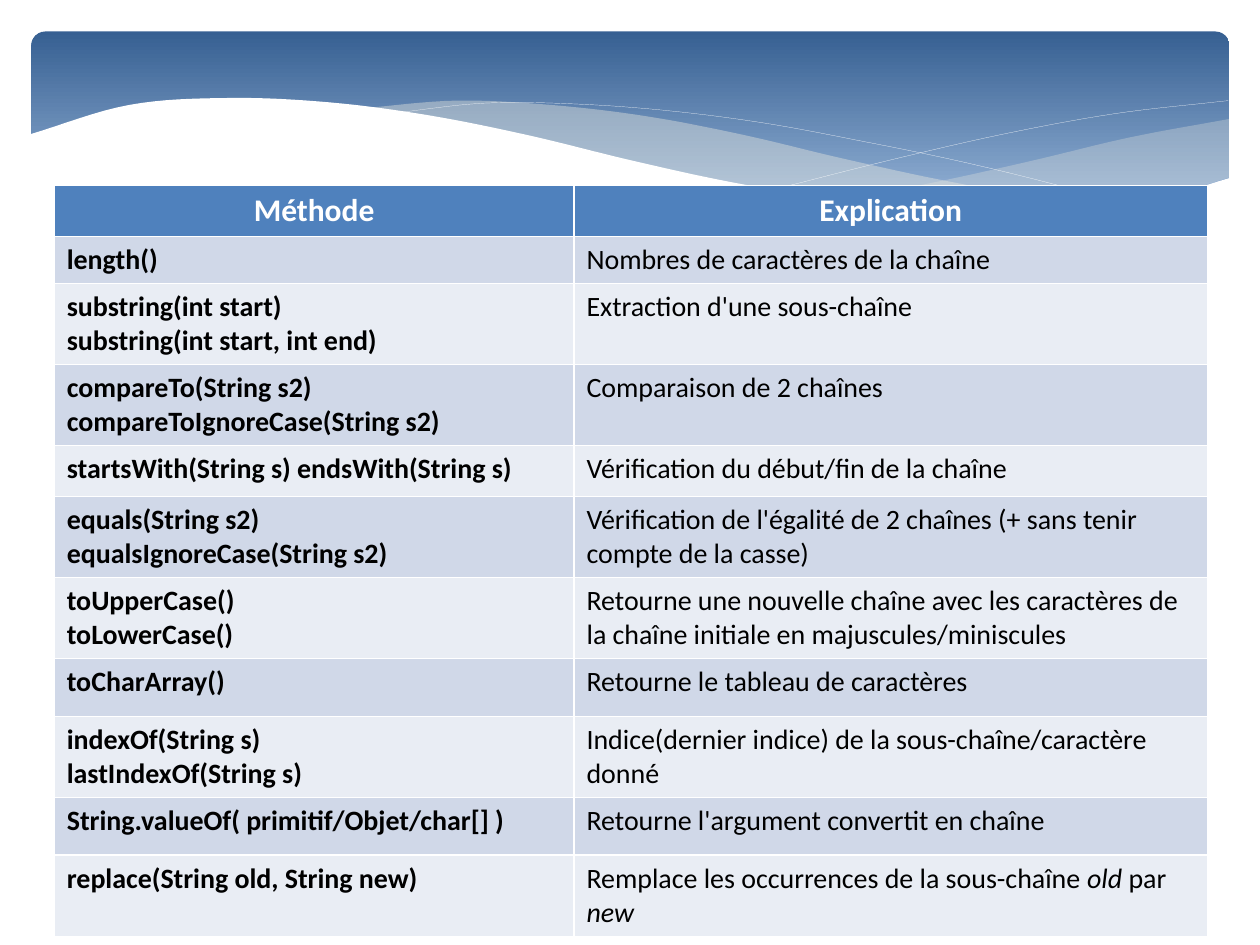
from pptx import Presentation
from pptx.util import Pt
from pptx.dml.color import RGBColor as RGB
from pptx.enum.shapes import MSO_SHAPE as SHAPE
from pptx.enum.text import PP_ALIGN as ALIGN
from pptx.oxml.ns import qn
from lxml.etree import SubElement

WHITE = RGB(0xFF, 0xFF, 0xFF)
BLACK = RGB(0, 0, 0)
CREAM = RGB(0xEE, 0xEC, 0xE1)
NAVY = RGB(0x37, 0x60, 0x92)
SKY = RGB(0x95, 0xB3, 0xD7)
HEADER = RGB(0x4F, 0x81, 0xBD)
BANDS = [RGB(0xE9, 0xED, 0xF4), RGB(0xD0, 0xD8, 0xE8)]
STEPS = 8

FILLED_WAVES = [
    {"left": 476, "right": 702.5, "color": CREAM, "opacity": 29,
     "top": [115, 104.5, 92, 78.5, 68],
     "bottom": [115, 121.5, 124, 118, 101.5]},
    {"left": 206, "right": 643, "color": CREAM, "opacity": 40,
     "top": [62, 57.5, 60, 66.5, 77, 90, 102, 112, 120],
     "bottom": [62, 70, 81.5, 94.5, 106.5, 116, 122, 124.5, 120]},
]
LINE_WAVES = [
    {"left": 222.5, "right": 653,
     "heights": [65, 59, 59.5, 63.5, 70.5, 80.5, 91.5, 104.5, 119.5]},
    {"left": 441.5, "right": 702, "heights": [108.5, 92, 77, 65, 57.5]},
]
WHITE_WAVE = {
    "left": 16.5, "right": 703.5, "color": WHITE, "opacity": 100,
    "top": [77, 60, 56, 58.5, 66, 77.5, 91.5, 104, 113.5, 121, 123, 118, 101.5],
    "bottom": [161, 161]}

ROWS = [
    (24, ["Méthode"], ["Explication"]),
    (26, ["length()"], ["Nombres de caractères de la chaîne"]),
    (38, ["substring(int start)", "substring(int start, int end)"],
     ["Extraction d'une sous-chaîne"]),
    (37, ["compareTo(String s2)", "compareToIgnoreCase(String s2)"],
     ["Comparaison de 2 chaînes"]),
    (29, ["startsWith(String s) endsWith(String s)"],
     ["Vérification du début/fin de la chaîne"]),
    (37, ["equals(String s2)", "equalsIgnoreCase(String s2)"],
     ["Vérification de l'égalité de 2 chaînes (+ sans tenir compte de la casse)"]),
    (46, ["toUpperCase()", "toLowerCase()"],
     ["Retourne une nouvelle chaîne avec les caractères de la chaîne initiale "
      "en majuscules/miniscules"]),
    (33, ["toCharArray()"], ["Retourne le tableau de caractères"]),
    (33, ["indexOf(String s)", "lastIndexOf(String s)"],
     ["Indice(dernier indice) de la sous-chaîne/caractère donné"]),
    (33, ["String.valueOf( primitif/Objet/char[] )"],
     ["Retourne l'argument convertit en chaîne"]),
    (33, ["replace(String old, String new)"],
     ["Remplace les occurrences de la sous-chaîne *old* par *new*"]),
]


def smooth_curve(left, right, heights):
    last = len(heights) - 1
    gap = (right - left) / last
    before = 2 * heights[0] - heights[1]
    after = 2 * heights[-1] - heights[-2]
    knots = [before, *heights, after]
    points = []
    for i in range(last):
        a, b, c, d = knots[i:i + 4]
        for step in range(STEPS):
            t = step / STEPS
            y = b + t / 2 * (c - a + t * (2 * a - 5 * b + 4 * c - d
                                          + t * (3 * (b - c) + d - a)))
            points.append((Pt(left + (i + t) * gap), Pt(y)))
    return points + [(Pt(right), Pt(heights[-1]))]


def add_outline(shapes, points, close):
    builder = shapes.build_freeform(*points[0])
    builder.add_line_segments(points[1:], close=close)
    sp = builder.convert_to_shape()
    sp.shadow.inherit = False
    return sp


prs = Presentation()
prs.slide_width, prs.slide_height = Pt(720), Pt(540)
slide = prs.slides.add_slide(prs.slide_layouts[6])
shapes = slide.shapes

banner = shapes.add_shape(SHAPE.ROUNDED_RECTANGLE, Pt(18), Pt(18), Pt(684.5), Pt(112.5))
banner.adjustments[0] = 0.07
banner.shadow.inherit = False
banner.line.fill.background()
banner.fill.gradient()
banner.fill.gradient_angle = 270
for stop, color, position in zip(banner.fill.gradient_stops, (NAVY, SKY), (0, 0.9)):
    stop.color.rgb = color
    stop.position = position

for wave in [*FILLED_WAVES, *LINE_WAVES, WHITE_WAVE]:
    ends = wave["left"], wave["right"]
    if wave in LINE_WAVES:
        sp = add_outline(shapes, smooth_curve(*ends, wave["heights"]), False)
        sp.fill.background()
        sp.line.color.rgb = WHITE
        sp.line.width = Pt(0.1)
        continue
    top = smooth_curve(*ends, wave["top"])
    bottom = smooth_curve(*ends, wave["bottom"])
    sp = add_outline(shapes, top + bottom[::-1], True)
    sp.line.fill.background()
    sp.fill.solid()
    sp.fill.fore_color.rgb = wave["color"]
    if wave["opacity"] < 100:
        rgb = sp._element.spPr.find(".//" + qn("a:srgbClr"))
        SubElement(rgb, qn("a:alpha"), val=str(wave["opacity"] * 1000))

table_height = sum(height for height, *_ in ROWS)
frame = shapes.add_table(len(ROWS), 2, Pt(31), Pt(106), Pt(659), Pt(table_height))
table = frame.table
for column, width in zip(table.columns, (297, 362)):
    column.width = Pt(width)

for i, (height, *texts) in enumerate(ROWS):
    is_header = i == 0
    table.rows[i].height = Pt(height)
    for j, lines in enumerate(texts):
        cell = table.cell(i, j)
        cell.fill.solid()
        cell.fill.fore_color.rgb = HEADER if is_header else BANDS[i % 2]
        tf = cell.text_frame
        tf.text = "\n".join(lines).replace("*", "")
        for p, line in zip(tf.paragraphs, lines):
            p.clear()
            p.alignment = ALIGN.CENTER if is_header else ALIGN.LEFT
            for k, text in enumerate(line.split("*")):
                if not text:
                    continue
                r = p.add_run()
                r.text = text
                style = {"name": "Calibri", "size": Pt(18 if is_header else 16),
                         "bold": is_header or j == 0, "italic": k % 2 == 1}
                for name, value in style.items():
                    setattr(r.font, name, value)
                r.font.color.rgb = WHITE if is_header else BLACK

prs.save("out.pptx")
